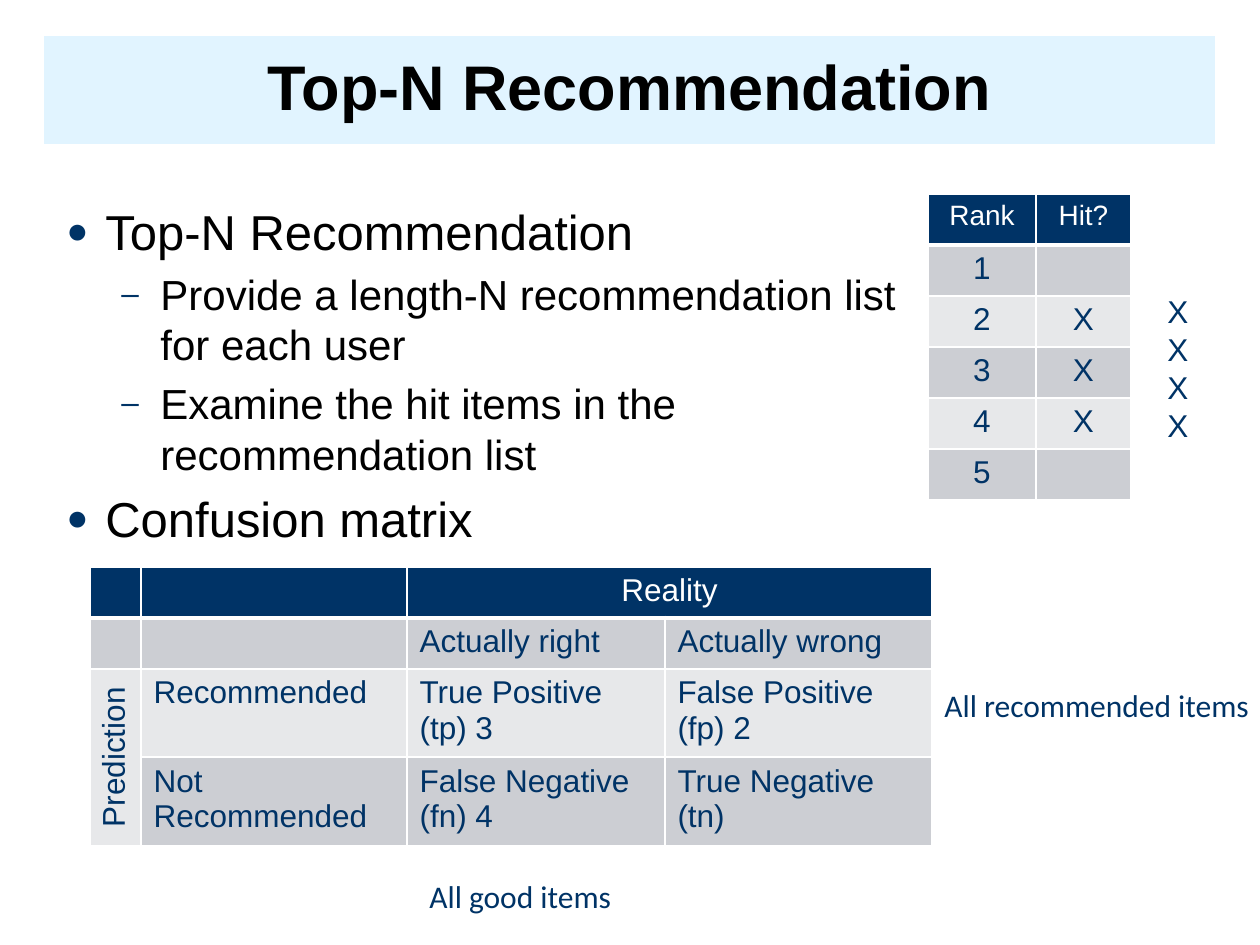
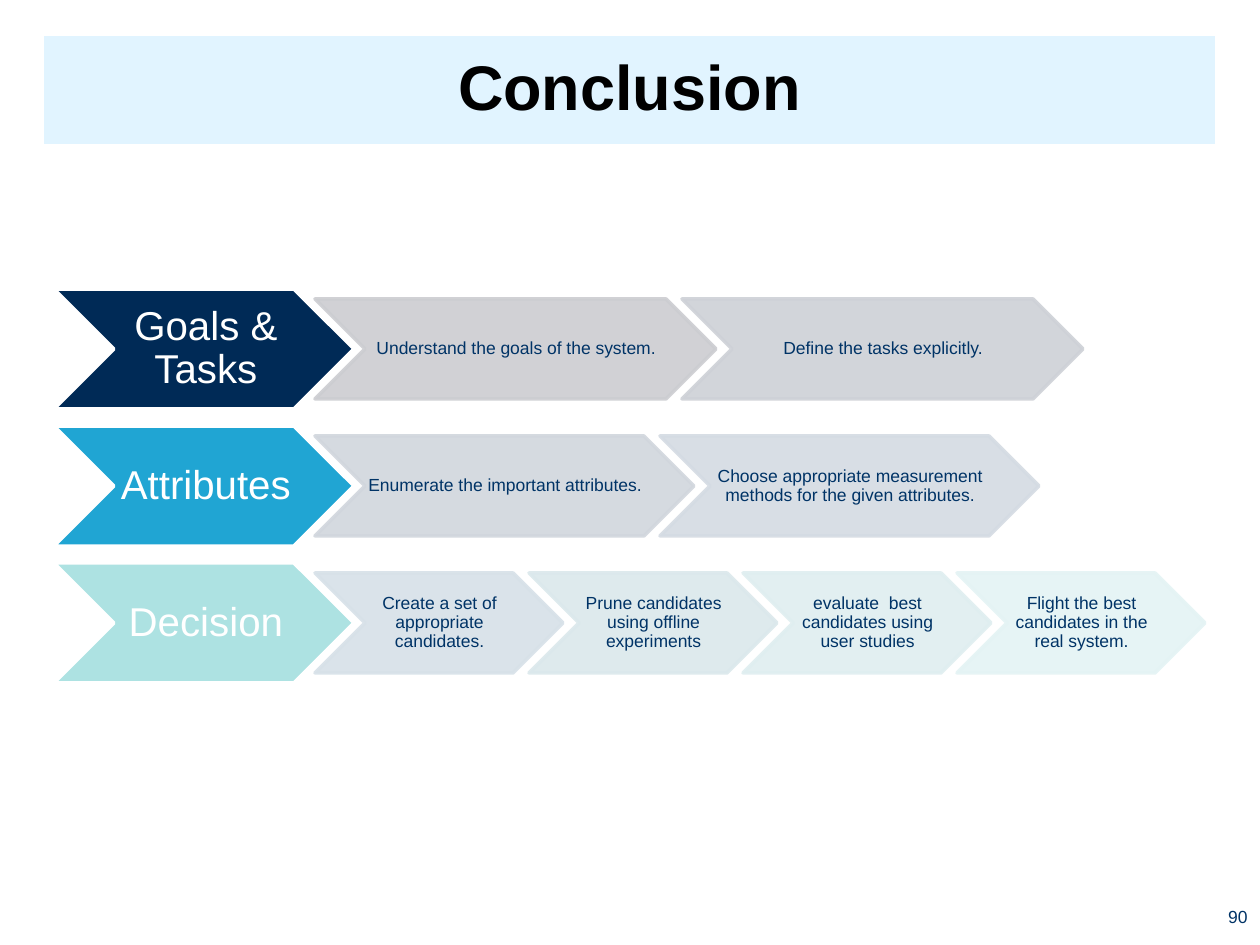
from lxml import etree
from pptx import Presentation
from pptx.dml.color import RGBColor
from pptx.enum.shapes import MSO_SHAPE
from pptx.enum.text import MSO_ANCHOR, PP_ALIGN
from pptx.oxml.ns import qn
from pptx.util import Pt

CHEVRON = MSO_SHAPE.CHEVRON
TOP, MIDDLE, BOTTOM = MSO_ANCHOR.TOP, MSO_ANCHOR.MIDDLE, MSO_ANCHOR.BOTTOM
LEFT, CENTER, RIGHT = PP_ALIGN.LEFT, PP_ALIGN.CENTER, PP_ALIGN.RIGHT

EMU_PER_PX = 914400 / 126
TITLE_ONLY = 5
SLIDE_SIZE = (1260, 945)
TITLE_BOX = (44, 36, 1171, 108)
DEFAULT_INSETS = (13, 6, 13, 6)

WHITE = RGBColor(0xFF, 0xFF, 0xFF)
BLACK = RGBColor(0x00, 0x00, 0x00)
NAVY = RGBColor(0x00, 0x33, 0x66)
TITLE_BAND = RGBColor(0xE1, 0xF4, 0xFF)
ROW_BANDS = (RGBColor(0xCC, 0xCE, 0xD3), RGBColor(0xE7, 0xE8, 0xEA))
GOALS = RGBColor(0x00, 0x2A, 0x56)
ATTRIBUTES = RGBColor(0x20, 0xA5, 0xD3)
DECISION = RGBColor(0xAD, 0xE2, 0xE2)
STEP_TINTS = [RGBColor.from_string(tint) for tint in (
    "CCCDD1", "CED1D7", "D1D6DD", "D4DBE3", "D7E1E8", "DBE8EC", "DFEEF0", "E4F3F4")]

BULLET_LEVELS = (("●", 28, 39, 39), ("–", 24, 94, 39))
BULLETS = (
    (0, "Top-N Recommendation"),
    (1, "Provide a length-N recommendation list for each user"),
    (1, "Examine the hit items in the recommendation list"),
    (0, "Confusion matrix"),
)
CONFUSION_ROWS = (
    ("", "", "Reality", ""),
    ("", "", "Actually right", "Actually wrong"),
    ("Prediction", "Recommended", "True Positive (tp) 3", "False Positive (fp) 2"),
    ("", "Not Recommended", "False Negative (fn) 4", "True Negative (tn)"),
)
HIT_ROWS = (("Rank", "Hit?"), ("1", ""), ("2", "X"), ("3", "X"), ("4", "X"), ("5", ""))
STAGES = (
    ("Goals & Tasks", GOALS, 401,
     ("Understand the goals of the system.", "Define the tasks explicitly.")),
    ("Attributes", ATTRIBUTES, 379,
     ("Enumerate the important attributes.",
      "Choose appropriate measurement methods for the given attributes.")),
    ("Decision", DECISION, 248,
     ("Create a set of appropriate candidates.",
      "Prune candidates using offline experiments",
      "evaluate  best candidates using user studies",
      "Flight the best candidates in the real system.")),
)


def px(length):
    """Turn a length in px into EMU."""
    return round(length * EMU_PER_PX)


def emu_box(box):
    """Turn a box in px into EMU."""
    return [px(length) for length in box]


def add_xml(parent, tag, **attributes):
    """Append one drawing element and return it."""
    return etree.SubElement(parent, qn(tag), attributes)


def write_text(frame, *lines, size=18, color=NAVY, font="Arial", bold=False,
               align=LEFT, spacing=None, anchor=None, insets=None, wrap=None):
    """Write one paragraph per line into a text frame with one format."""
    if wrap is not None:
        frame.word_wrap = wrap
    if anchor is not None:
        frame.vertical_anchor = anchor
    if insets:
        (frame.margin_left, frame.margin_top,
         frame.margin_right, frame.margin_bottom) = emu_box(insets)
    for index, line in enumerate(lines):
        paragraph = frame.add_paragraph() if index else frame.paragraphs[0]
        paragraph.alignment = align
        paragraph.line_spacing = spacing
        run = paragraph.add_run()
        run.text = line
        run.font.name, run.font.size, run.font.bold = font, Pt(size), bold
        run.font.color.rgb = color


def add_label(slide, box, *lines, wrap=False, **text_format):
    """Add a text box with formatted lines."""
    label = slide.shapes.add_textbox(*emu_box(box))
    write_text(label.text_frame, *lines, wrap=wrap, **text_format)
    return label


def add_titled_slide(deck, title):
    """Add a slide with the shared title band."""
    slide = deck.slides.add_slide(deck.slide_layouts[TITLE_ONLY])
    band = slide.shapes.title
    band.left, band.top, band.width, band.height = emu_box(TITLE_BOX)
    band.fill.solid()
    band.fill.fore_color.rgb = TITLE_BAND
    write_text(band.text_frame, title, size=36, color=BLACK, bold=True,
               align=CENTER, spacing=0.9, anchor=MIDDLE, insets=DEFAULT_INSETS, wrap=True)
    return slide


def add_bullets(slide, box):
    """Add the two-level bullet list."""
    outline = add_label(slide, box, *(line for _, line in BULLETS), wrap=True, color=BLACK)
    for (level, _), paragraph in zip(BULLETS, outline.text_frame.paragraphs):
        mark, size, indent, hang = BULLET_LEVELS[level]
        paragraph.level = level
        paragraph.runs[0].font.size = Pt(size)
        properties = paragraph._p.get_or_add_pPr()
        properties.set("marL", str(px(indent)))
        properties.set("indent", str(-px(hang)))
        add_xml(add_xml(properties, "a:spcBef"), "a:spcPct", val="20000")
        add_xml(add_xml(properties, "a:buClr"), "a:srgbClr", val=str(NAVY))
        add_xml(properties, "a:buSzPct", val="75000")
        add_xml(properties, "a:buFont", typeface="Arial")
        add_xml(properties, "a:buChar", char=mark)


def format_cell(cell, fill, is_header):
    """Give a cell white borders and a solid fill."""
    properties = cell._tc.get_or_add_tcPr()
    for side in "LRTB":
        points = 3 if is_header and side == "B" else 1
        border = add_xml(properties, f"a:ln{side}", w=str(Pt(points)))
        add_xml(add_xml(border, "a:solidFill"), "a:srgbClr", val=str(WHITE))
    cell.fill.solid()
    cell.fill.fore_color.rgb = fill


def add_grid(slide, origin, widths, heights, rows, header_size=18, centered=False):
    """Add a banded table with a navy header row."""
    box = (*origin, sum(widths), sum(heights))
    grid = slide.shapes.add_table(len(rows), len(widths), *emu_box(box)).table
    for column, width in zip(grid.columns, widths):
        column.width = px(width)
    for r, (height, values) in enumerate(zip(heights, rows)):
        grid.rows[r].height = px(height)
        is_header = r == 0
        for c, value in enumerate(values):
            cell = grid.cell(r, c)
            format_cell(cell, NAVY if is_header else ROW_BANDS[(r - 1) % 2], is_header)
            if value:
                write_text(cell.text_frame, value, size=header_size if is_header else 18,
                           color=WHITE if is_header else NAVY,
                           align=CENTER if is_header or centered else LEFT)
    return grid


def add_confusion_matrix(slide, origin):
    """Add the confusion matrix with its merged headings."""
    matrix = add_grid(slide, origin, (51, 266, 258, 267), (51, 51, 83, 83), CONFUSION_ROWS)
    matrix.cell(0, 2).merge(matrix.cell(0, 3))
    prediction = matrix.cell(2, 0)
    prediction.merge(matrix.cell(3, 0))
    prediction.text_frame.paragraphs[0].alignment = CENTER
    prediction._tc.get_or_add_tcPr().set("vert", "vert270")


def set_alpha(element):
    """Make every colour inside an element 90 percent opaque."""
    for color in element.iter(qn("a:srgbClr")):
        add_xml(color, "a:alpha", val="90000")


def add_chevron(slide, box, caption, fill, line, **text_format):
    """Add a chevron with a centred caption."""
    chevron = slide.shapes.add_shape(CHEVRON, *emu_box(box))
    chevron.shadow.inherit = False
    chevron.fill.solid()
    chevron.fill.fore_color.rgb = fill
    chevron.line.color.rgb = line
    chevron.line.width = Pt(2)
    write_text(chevron.text_frame, caption, align=CENTER, spacing=0.9,
               anchor=MIDDLE, wrap=True, **text_format)
    return chevron


def add_stage(slide, origin, stage, tints):
    """Add one stage: a large chevron followed by its steps."""
    left, top = origin
    name, color, step_width, steps = stage
    add_chevron(slide, (left, top, 300, 120), name, color, WHITE,
                size=23, color=WHITE, insets=(4, 2, 0, 2))
    for index, (step, tint) in enumerate(zip(steps, tints)):
        box = (left + 261 + index * (step_width - 34), top + 10, step_width, 100)
        chevron = add_chevron(slide, box, step, tint, tint, size=10, insets=(1, 1, 0, 1))
        set_alpha(chevron._element.spPr)


def build_recommendation(deck):
    """Build the slide on top-N recommendation."""
    slide = add_titled_slide(deck, "Top-N Recommendation")
    add_bullets(slide, (54, 195, 873, 684))
    add_confusion_matrix(slide, (90, 567))
    add_label(slide, (417, 871, 213, 50), "All good items", font="Calibri")
    add_label(slide, (932, 680, 339, 50), "All recommended items", font="Calibri")
    add_grid(slide, (928, 194), (108, 95), [51] * len(HIT_ROWS), HIT_ROWS,
             header_size=16, centered=True)
    add_label(slide, (1155, 286, 49, 165), *"XXXX")


def build_conclusion(deck):
    """Build the slide with the three stages of the conclusion."""
    slide = add_titled_slide(deck, "Conclusion")
    tints = iter(STEP_TINTS)
    for index, stage in enumerate(STAGES):
        stage_tints = [next(tints) for _ in stage[3]]
        add_stage(slide, (54, 289 + index * 137), stage, stage_tints)
    add_label(slide, (1210, 883, 50, 50), "90", size=10, align=RIGHT, anchor=BOTTOM, wrap=True)


def main():
    """Build and save the deck."""
    deck = Presentation()
    deck.slide_width, deck.slide_height = emu_box(SLIDE_SIZE)
    build_recommendation(deck)
    build_conclusion(deck)
    deck.save("out.pptx")


if __name__ == "__main__":
    main()
